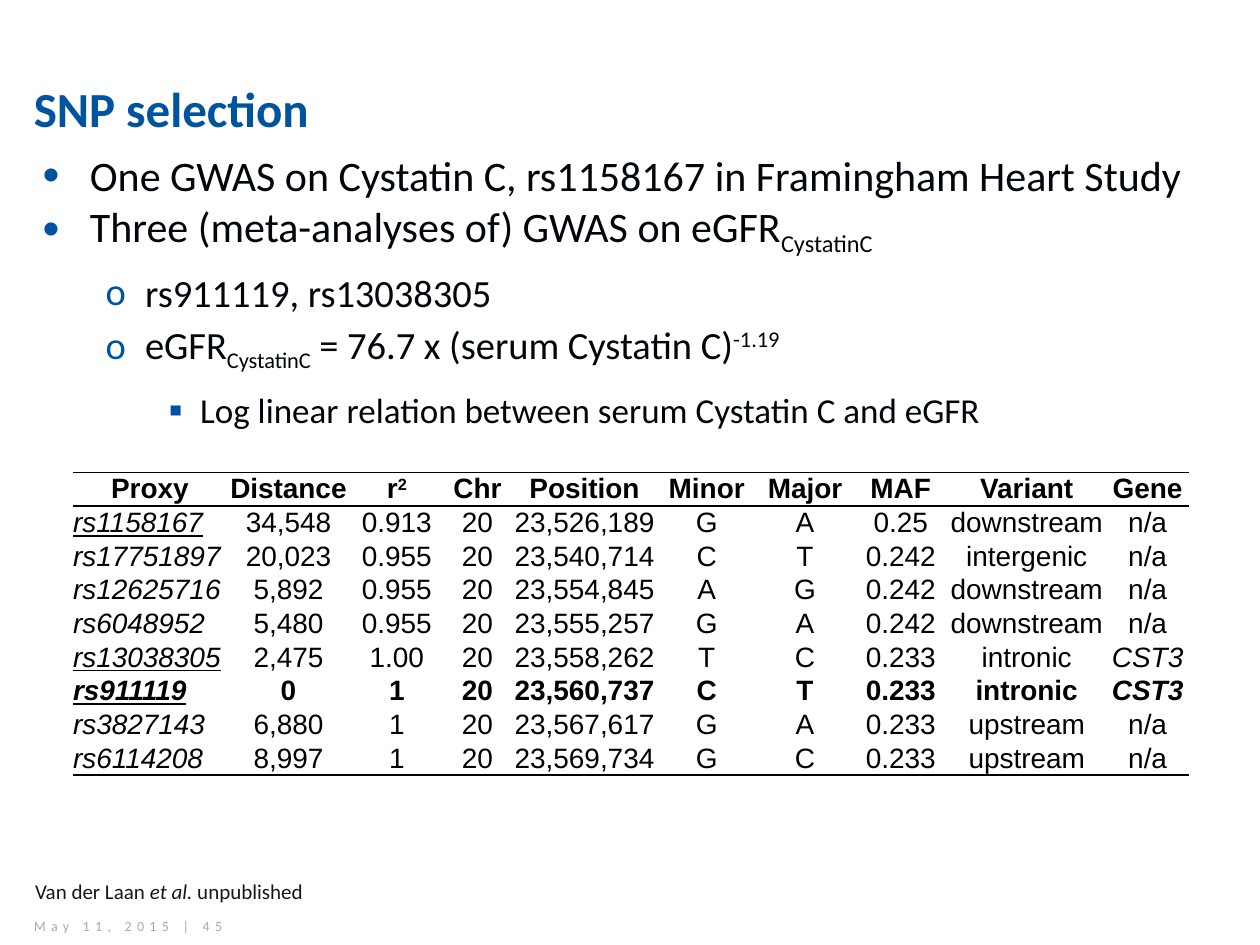
from dataclasses import dataclass

from lxml.etree import SubElement
from pptx import Presentation
from pptx.dml.color import RGBColor
from pptx.enum.text import MSO_ANCHOR, MSO_AUTO_SIZE, PP_ALIGN
from pptx.oxml.ns import qn
from pptx.util import Pt


@dataclass(frozen=True)
class Theme:
    accent: str = "00539F"
    body: str = "00060C"
    note: str = "171717"
    footer: str = "AAAAAA"
    rule: str = "000000"
    paper: str = "FFFFFF"
    title_size: int = 28
    level_sizes: tuple = (24, 22, 20)
    table_size: int = 16
    note_size: int = 12
    footer_size: int = 8


theme = Theme()


def add_run(p, text, size, color, name="Calibri", baseline=0, **fmt):
    r = p.add_run()
    r.text = text
    r.font.color.rgb = RGBColor.from_string(color)
    for key, value in {"size": Pt(size), "name": name, **fmt}.items():
        setattr(r.font, key, value)
    if baseline:
        r.font._element.set("baseline", str(baseline * 1000))
    return r


def add_box(s, left, top, width, height, **fmt):
    tf = s.shapes.add_textbox(Pt(left), Pt(top), Pt(width), Pt(height)).text_frame
    for key, value in {"word_wrap": True, **fmt}.items():
        setattr(tf, key, value)
    return tf


prs = Presentation()
prs.slide_width, prs.slide_height = Pt(720), Pt(540)
s = prs.slides.add_slide(prs.slide_layouts[6])

# Title
tf = add_box(s, 12.24, 27.36, 635.76, 68.4, vertical_anchor=MSO_ANCHOR.MIDDLE)
add_run(tf.paragraphs[0], "SNP selection", theme.title_size, theme.accent, bold=True)

# Bullets: level, then text pieces with their baseline shift in percent
bullets = [
    (0, [("One GWAS on Cystatin C, rs1158167 in Framingham Heart Study", 0)]),
    (0, [("Three (meta-analyses of) GWAS on eGFR", 0), ("CystatinC", -25)]),
    (1, [("rs911119, rs13038305", 0)]),
    (1, [("eGFR", 0), ("CystatinC", -25),
         (" = 76.7 x (serum Cystatin C)", 0), ("-1.19", 30)]),
    (2, [("Log linear relation between serum Cystatin C and eGFR", 0)]),
]
# Per level: character, font, size in percent, left margin, hanging indent
bullet_styles = [("•", "Arial", 115, 27, 27),
                 ("o", "Calibri", 100, 58.5, 22.5),
                 ("▪", "Arial", 115, 90, 18)]
tf = add_box(s, 17.28, 77.76, 680.4, 439.2)
for i, (level, pieces) in enumerate(bullets):
    p = tf.add_paragraph() if i else tf.paragraphs[0]
    char, font, percent, margin, hang = bullet_styles[level]
    pPr = p._p.get_or_add_pPr()
    pPr.set("marL", str(Pt(margin)))
    pPr.set("indent", str(-Pt(hang)))
    SubElement(SubElement(pPr, qn("a:buClr")), qn("a:srgbClr"), val=theme.accent)
    SubElement(pPr, qn("a:buSzPct"), val=str(percent * 1000))
    SubElement(pPr, qn("a:buFont"), typeface=font)
    SubElement(pPr, qn("a:buChar"), char=char)
    p.level = level
    p.line_spacing = Pt(33)
    for text, shift in pieces:
        add_run(p, text, theme.level_sizes[level], theme.body, baseline=shift)

# Footer
tf = add_box(s, 12.24, 522, 184.32, 14.4, vertical_anchor=MSO_ANCHOR.MIDDLE)
r = add_run(tf.paragraphs[0], "May 11, 2015 | 45", theme.footer_size, theme.footer)
r.font._element.set("spc", "300")

# Proxy table
rows = [line.split() for line in """\
Proxy Distance r Chr Position Minor Major MAF Variant Gene
rs1158167 34,548 0.913 20 23,526,189 G A 0.25 downstream n/a
rs17751897 20,023 0.955 20 23,540,714 C T 0.242 intergenic n/a
rs12625716 5,892 0.955 20 23,554,845 A G 0.242 downstream n/a
rs6048952 5,480 0.955 20 23,555,257 G A 0.242 downstream n/a
rs13038305 2,475 1.00 20 23,558,262 T C 0.233 intronic CST3
rs911119 0 1 20 23,560,737 C T 0.233 intronic CST3
rs3827143 6,880 1 20 23,567,617 G A 0.233 upstream n/a
rs6114208 8,997 1 20 23,569,734 G C 0.233 upstream n/a""".splitlines()]
col_widths = [87.84, 70.56, 53.28, 38.88, 83.52, 56.16, 56.16, 53.28, 90.72, 47.52]
selected = {"rs1158167", "rs13038305", "rs911119"}
bold_rows = {"Proxy", "rs911119"}
last = len(rows) - 1
rules = {0: ("lnT", "lnB"), 1: ("lnT",), last: ("lnB",)}

table = s.shapes.add_table(len(rows), len(col_widths), Pt(41.76), Pt(270),
                           Pt(sum(col_widths)), Pt(138)).table
table.horz_banding = False
table.first_row = False
for column, width in zip(table.columns, col_widths):
    column.width = Pt(width)
cell_format = {"margin_left": 0, "margin_right": 0, "margin_top": 0,
               "margin_bottom": 0, "vertical_anchor": MSO_ANCHOR.MIDDLE}
for i, values in enumerate(rows):
    table.rows[i].height = Pt(15.84 if i in (0, last) else 15.12)
    for j, text in enumerate(values):
        cell = table.cell(i, j)
        for key, value in cell_format.items():
            setattr(cell, key, value)
        tcPr = cell._tc.get_or_add_tcPr()
        for side in ("lnL", "lnR", "lnT", "lnB"):
            ln = SubElement(tcPr, qn(f"a:{side}"), w=str(Pt(1)))
            if side in rules.get(i, ()):
                fill = SubElement(ln, qn("a:solidFill"))
                SubElement(fill, qn("a:srgbClr"), val=theme.rule)
            else:
                SubElement(ln, qn("a:noFill"))
        cell.fill.solid()
        cell.fill.fore_color.rgb = RGBColor.from_string(theme.paper)
        p = cell.text_frame.paragraphs[0]
        p.alignment = PP_ALIGN.LEFT if i and j == 0 else PP_ALIGN.CENTER
        style = {"size": theme.table_size, "color": theme.rule, "name": "Arial",
                 "bold": values[0] in bold_rows}
        add_run(p, text, italic=i > 0 and (j == 0 or text == "CST3"),
                underline=text in selected, **style)
        if text == "r":
            add_run(p, "2", baseline=30, **style)

# Citation
tf = add_box(s, 12.96, 498.24, 169.92, 21.6, word_wrap=False,
             auto_size=MSO_AUTO_SIZE.SHAPE_TO_FIT_TEXT)
for text, italic in [("Van der Laan ", False), ("et al.", True), (" unpublished", False)]:
    add_run(tf.paragraphs[0], text, theme.note_size, theme.note, italic=italic)

prs.save("out.pptx")
